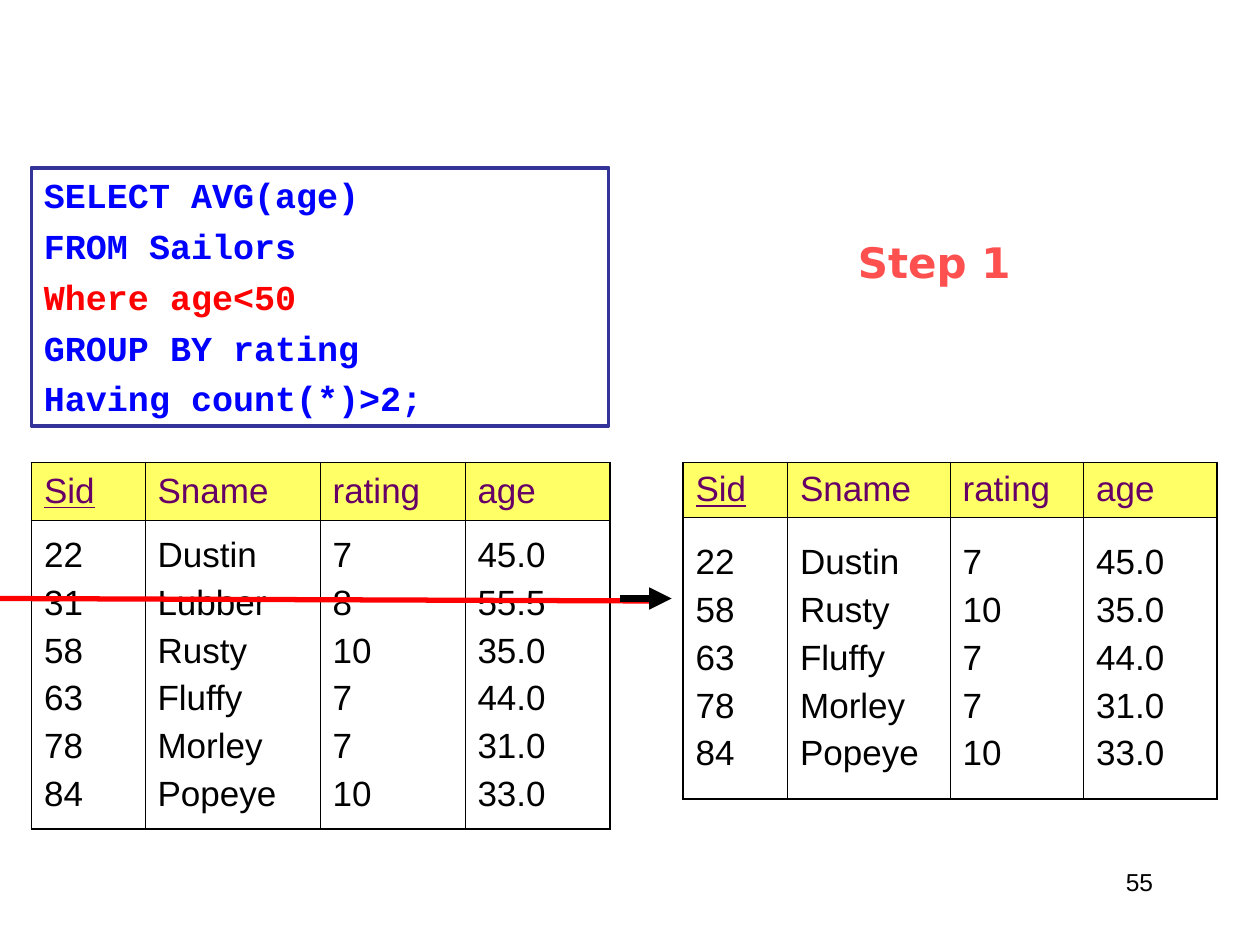
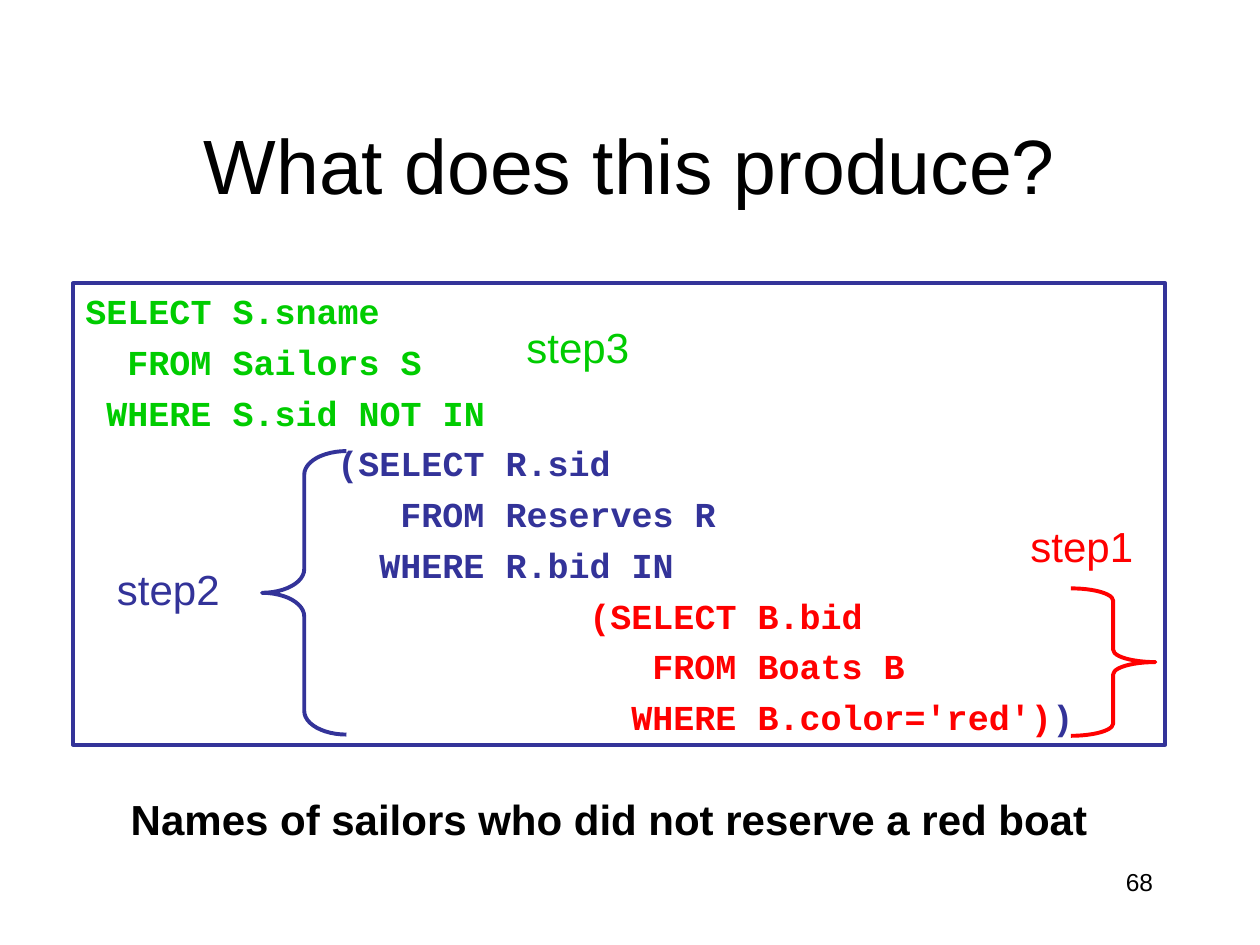
from lxml import etree
from pptx import Presentation
from pptx.dml.color import RGBColor
from pptx.enum.shapes import MSO_CONNECTOR, MSO_SHAPE
from pptx.enum.text import MSO_ANCHOR, PP_ALIGN
from pptx.oxml.ns import qn
from pptx.util import Inches, Pt

BLACK = RGBColor(0x00, 0x00, 0x00)
WHITE = RGBColor(0xFF, 0xFF, 0xFF)
NAVY = RGBColor(0x33, 0x33, 0x99)
BLUE = RGBColor(0x00, 0x00, 0xFF)
RED = RGBColor(0xFF, 0x00, 0x00)
CORAL = RGBColor(0xFF, 0x50, 0x50)
GREEN = RGBColor(0x00, 0xCC, 0x00)
PURPLE = RGBColor(0x66, 0x00, 0x66)
YELLOW = RGBColor(0xFF, 0xFF, 0x66)

SANS, MONO, DISPLAY = "Arial", "Courier New", "DejaVu Sans"
CODE_CHAR = 1 / 6  # width in inches of one 20 pt monospaced character
OUTLINE = 2.24
OUTER_BORDER, INNER_BORDER = 1.08, 0.45

SAILORS = [
    ("22", "Dustin", "7", "45.0"),
    ("31", "Lubber", "8", "55.5"),
    ("58", "Rusty", "10", "35.0"),
    ("63", "Fluffy", "7", "44.0"),
    ("78", "Morley", "7", "31.0"),
    ("84", "Popeye", "10", "33.0"),
]
HEADINGS = ("Sid", "Sname", "rating", "age")

# Query lines: indent in characters, then runs of text and colour
AVERAGE_QUERY = [
    (0, ("SELECT AVG(age)", BLUE)),
    (0, ("FROM Sailors", BLUE)),
    (0, ("Where age<50", RED)),
    (0, ("GROUP BY rating", BLUE)),
    (0, ("Having count(*)>2;", BLUE)),
]
NESTED_QUERY = [
    (0, ("SELECT S.sname", GREEN)),
    (2, ("FROM Sailors S", GREEN)),
    (1, ("WHERE S.sid NOT IN", GREEN)),
    (12, ("(SELECT R.sid", NAVY)),
    (15, ("FROM Reserves R", NAVY)),
    (14, ("WHERE R.bid IN", NAVY)),
    (24, ("(SELECT B.bid", RED)),
    (27, ("FROM Boats B", RED)),
    (26, ("WHERE B.color='red')", RED), (")", NAVY)),
]


def inches(*lengths):
    """Turn plain numbers into lengths."""
    return [Inches(length) for length in lengths]


def write(frame, lines, size=20, color=BLACK, font=SANS, bold=False,
          underline=False, align=PP_ALIGN.LEFT, before=5):
    """Fill a text frame; a line is a string or (indent, run, run, ...)."""
    for index, line in enumerate(lines):
        indent, *runs = (0, (line, color)) if isinstance(line, str) else line
        paragraph = frame.paragraphs[0] if index == 0 else frame.add_paragraph()
        paragraph.alignment = align
        paragraph.space_before = Pt(before)
        if indent:
            properties = paragraph._p.get_or_add_pPr()
            properties.set("marL", str(Inches(indent * CODE_CHAR)))
            properties.set("indent", "0")
        for words, run_color in runs:
            run = paragraph.add_run()
            run.text = words
            run.font.name = font
            run.font.size = Pt(size)
            run.font.bold = bold
            run.font.underline = underline
            run.font.color.rgb = run_color


def label(slide, box, words, anchor=MSO_ANCHOR.TOP, **text_format):
    """Place one line of text in a box."""
    frame = slide.shapes.add_textbox(*inches(*box)).text_frame
    frame.word_wrap = True
    frame.vertical_anchor = anchor
    write(frame, [words], **text_format)


def page_number(slide, number):
    """Place the page number at the lower right."""
    label(slide, (7.17, 6.83, 2.08, 0.5), number, size=14,
          align=PP_ALIGN.RIGHT, before=0)


def query_panel(slide, box, query):
    """Place a framed query in a box."""
    panel = slide.shapes.add_shape(MSO_SHAPE.RECTANGLE, *inches(*box))
    panel.shadow.inherit = False
    panel.fill.solid()
    panel.fill.fore_color.rgb = WHITE
    panel.line.color.rgb = NAVY
    panel.line.width = Pt(OUTLINE)
    panel.text_frame.word_wrap = True
    panel.text_frame.vertical_anchor = MSO_ANCHOR.TOP
    write(panel.text_frame, query, font=MONO, bold=True)


def brace(slide, box, kind, color):
    """Draw a curly brace whose curves are a twelfth of its height."""
    _, _, width, height = box
    bracket = slide.shapes.add_shape(kind, *inches(*box))
    bracket.shadow.inherit = False
    bracket.adjustments[0] = height / 12 / width
    bracket.fill.background()
    bracket.line.color.rgb = color
    bracket.line.width = Pt(OUTLINE)


def line(slide, start, end, color, width, arrow=False):
    """Draw a straight line, with an arrowhead at its end if wanted."""
    connector = slide.shapes.add_connector(
        MSO_CONNECTOR.STRAIGHT, *inches(*start, *end))
    connector.line.color.rgb = color
    connector.line.width = Pt(width)
    if arrow:
        etree.SubElement(connector.line._get_or_add_ln(), qn("a:tailEnd"),
                         type="triangle")
    etree.SubElement(connector._element.spPr, qn("a:effectLst"))


def set_borders(cell, widths):
    """Give a cell black left, right, top and bottom borders."""
    properties = cell._tc.get_or_add_tcPr()
    for position, (side, width) in enumerate(zip("LRTB", widths)):
        border = etree.Element(qn("a:ln" + side), w=str(Pt(width)))
        fill = etree.SubElement(border, qn("a:solidFill"))
        etree.SubElement(fill, qn("a:srgbClr"), val=str(BLACK))
        properties.insert(position, border)


def sailor_table(slide, box, sailors, column_widths, row_heights):
    """Place a heading row above one row that stacks all the sailors."""
    table = slide.shapes.add_table(2, len(HEADINGS), *inches(*box)).table
    table.first_row = table.horz_banding = False
    for column, width in zip(table.columns, column_widths):
        column.width = Inches(width)
    for row, height in zip(table.rows, row_heights):
        row.height = Inches(height)

    last = len(HEADINGS) - 1
    for index, (heading, values) in enumerate(zip(HEADINGS, zip(*sailors))):
        head, body = table.cell(0, index), table.cell(1, index)
        head.fill.solid()
        head.fill.fore_color.rgb = YELLOW
        body.fill.background()
        write(head.text_frame, [heading], color=PURPLE, underline=index == 0)
        write(body.text_frame, values)
        sides = [OUTER_BORDER if index == edge else INNER_BORDER
                 for edge in (0, last)]
        set_borders(head, sides + [OUTER_BORDER, INNER_BORDER])
        set_borders(body, sides + [INNER_BORDER, OUTER_BORDER])
        for cell in (head, body):
            cell.vertical_anchor = MSO_ANCHOR.MIDDLE


def filter_slide(slide):
    """Step 1: the rows that the Where clause keeps."""
    page_number(slide, "55")
    query_panel(slide, (0.25, 1.33, 4.58, 2.05), AVERAGE_QUERY)
    sailor_table(slide, (0.25, 3.67, 4.58, 2.91), SAILORS,
                 (0.9, 1.39, 1.15, 1.15), (0.46, 2.45))
    label(slide, (6, 1.83, 2.83, 0.5), "Step 1", size=24, color=CORAL,
          font=DISPLAY, bold=True, align=PP_ALIGN.CENTER, before=15)
    line(slide, (0, 4.75), (5.17, 4.77), RED, 3)
    line(slide, (4.92, 4.75), (5.33, 4.75), BLACK, 4.25, arrow=True)
    young_sailors = [sailor for sailor in SAILORS if float(sailor[-1]) < 50]
    sailor_table(slide, (5.42, 3.67, 4.25, 2.68), young_sailors,
                 (0.83, 1.29, 1.06, 1.06), (0.43, 2.24))


def nested_slide(slide):
    """The nested query, its three steps and its meaning."""
    page_number(slide, "68")
    label(slide, (0.75, 0.67, 8.5, 1.25), "What does this produce?", size=44,
          anchor=MSO_ANCHOR.MIDDLE, align=PP_ALIGN.CENTER, before=0)
    query_panel(slide, (0.58, 2.25, 8.67, 3.66), NESTED_QUERY)
    brace(slide, (8.5, 4.67, 0.67, 1.17), MSO_SHAPE.RIGHT_BRACE, RED)
    brace(slide, (2.08, 3.58, 0.67, 2.25), MSO_SHAPE.LEFT_BRACE, NAVY)
    label(slide, (0.42, 6.25, 8.83, 0.5),
          "Names of sailors who did not reserve a red boat",
          size=24, bold=True, align=PP_ALIGN.CENTER, before=15)
    for step, left, top, color in (("step1", 8.08, 4.08, RED),
                                   ("step2", 0.83, 4.42, NAVY),
                                   ("step3", 4.08, 2.5, GREEN)):
        label(slide, (left, top, 1.33, 0.5), step, size=24, color=color,
              before=15)


def main():
    """Build the two slides and save them."""
    deck = Presentation()
    deck.slide_width, deck.slide_height = inches(10, 7.5)
    blank = deck.slide_layouts[6]
    for build in (filter_slide, nested_slide):
        build(deck.slides.add_slide(blank))
    deck.save("out.pptx")


main()
